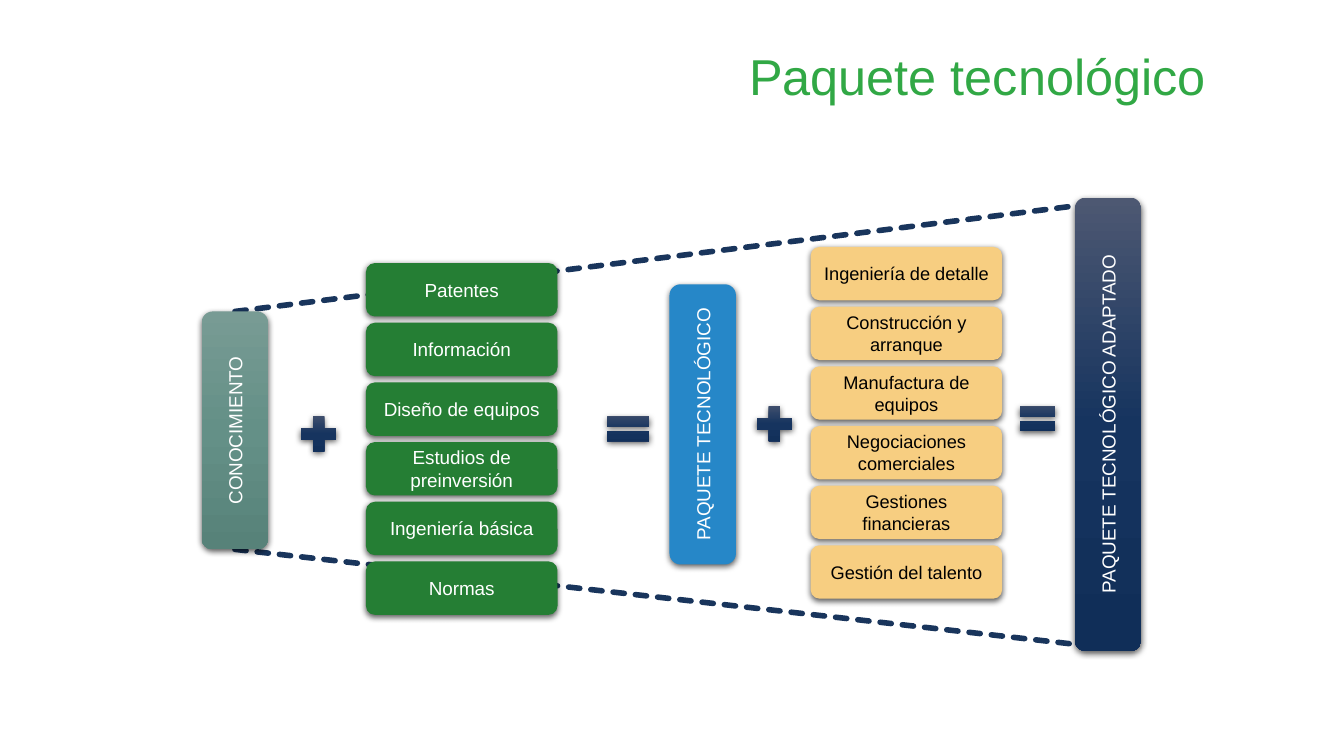
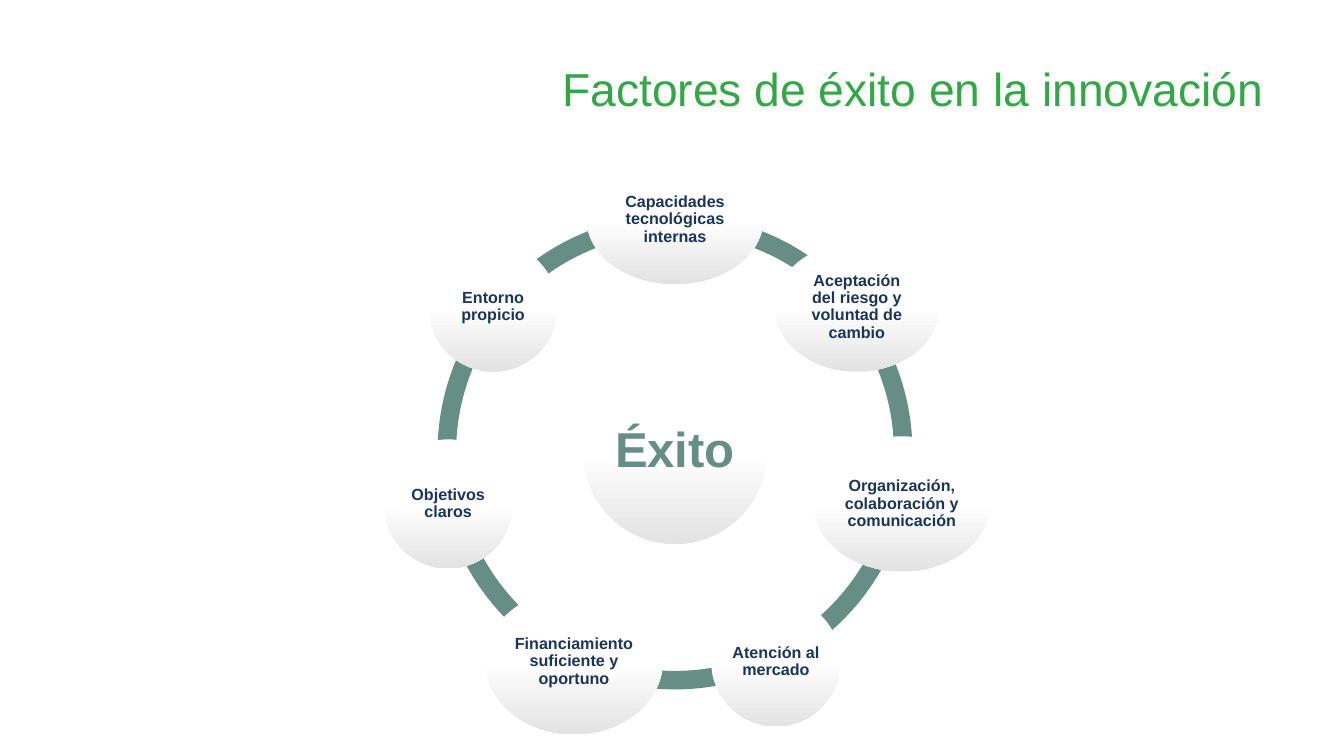
import math

import pptx
import pptx.dml.color
import pptx.enum.dml
import pptx.enum.shapes
import pptx.enum.text
import pptx.oxml.ns
import pptx.util
from lxml import etree

Inches = pptx.util.Inches
Pt = pptx.util.Pt
qn = pptx.oxml.ns.qn
SHAPE = pptx.enum.shapes.MSO_SHAPE
ALIGN = pptx.enum.text.PP_ALIGN

FONT = "Arial"
COLORS = {
    "title": "31A845",
    "navy": "19355C",
    "teal": "668E86",
    "green": "257E34",
    "blue": "2687C8",
    "sand": "F7CE81",
    "white": "FFFFFF",
    "black": "000000",
}
GRADIENTS = {
    "teal_shade": ("789B94", "649087", "578279"),
    "navy_shade": ("4D5872", "16345F", "102E58"),
    "pearl": ("FFFFFF", "FFFFFF", "E3E3E3"),
}


def rgb(name):
    return pptx.dml.color.RGBColor.from_string(COLORS[name])


def add_color(parent, value):
    return etree.SubElement(parent, qn("a:srgbClr"), val=value)


def set_fill(shape, name):
    """Fill with a plain colour or a top-to-bottom gradient of that name."""
    if name in COLORS:
        shape.fill.solid()
        shape.fill.fore_color.rgb = rgb(name)
        return
    shape.fill.gradient()
    shape.fill.gradient_angle = 270
    stops = shape.element.find(".//" + qn("a:gsLst"))
    for stop in list(stops):
        stops.remove(stop)
    for position, value in zip((0, 50000, 100000), GRADIENTS[name]):
        add_color(etree.SubElement(stops, qn("a:gs"), pos=str(position)), value)


def add_shadow(shape):
    effects = shape.element.spPr.find(qn("a:effectLst"))
    shadow = etree.SubElement(
        effects, qn("a:outerShdw"), blurRad=str(Pt(4.5)), dist=str(Pt(1.5)),
        dir="5400000", algn="ctr", rotWithShape="0")
    etree.SubElement(add_color(shadow, COLORS["black"]), qn("a:alpha"), val="63000")


def add_figure(page, kind, box, fill, shadow=False):
    shape = page.shapes.add_shape(kind, *map(Inches, box))
    set_fill(shape, fill)
    shape.line.fill.background()
    shape.shadow.inherit = False
    if shadow:
        add_shadow(shape)
    return shape


def write(shape, text, size, color, bold=False, align=ALIGN.CENTER,
          spacing=None, inset=0.1, upward=False):
    frame = shape.text_frame
    frame.word_wrap = True
    frame.vertical_anchor = pptx.enum.text.MSO_ANCHOR.MIDDLE
    frame.margin_left = frame.margin_right = Inches(inset)
    frame.margin_top = frame.margin_bottom = Inches(min(inset, 0.05))
    if upward:
        shape.element.find(".//" + qn("a:bodyPr")).set("vert", "vert270")
    para = frame.paragraphs[0]
    para.alignment = align
    if spacing:
        para.line_spacing = spacing
    span = para.add_run()
    span.text = text
    span.font.name = FONT
    span.font.size = Pt(size)
    span.font.bold = bold
    span.font.color.rgb = rgb(color)


def add_title(page, text, box, size):
    title = page.shapes.add_textbox(*map(Inches, box))
    write(title, text, size, "title", align=ALIGN.RIGHT, spacing=0.9)


def add_dashed_line(page, start, end):
    line = page.shapes.add_connector(
        pptx.enum.shapes.MSO_CONNECTOR.STRAIGHT, *map(Inches, start + end))
    line.line.color.rgb = rgb("navy")
    line.line.width = Pt(4)
    line.line.dash_style = pptx.enum.dml.MSO_LINE.SQUARE_DOT
    line.element.find(".//" + qn("a:ln")).set("cap", "rnd")
    etree.SubElement(line.element.spPr, qn("a:effectLst"))
    return line


def add_bar(page, text, box, fill):
    """Upright bar with its text reading from bottom to top."""
    bar = add_figure(page, SHAPE.ROUNDED_RECTANGLE, box, fill, shadow=True)
    write(bar, text, 13.5, "white", upward=True)
    return bar


def add_stack(page, left, top, labels, fill, size, color):
    width, height, pitch = 1.9, 0.53, 0.592
    for row, label in enumerate(labels):
        box = (left, top + row * pitch, width, height)
        card = add_figure(page, SHAPE.ROUNDED_RECTANGLE, box, fill, shadow=True)
        write(card, label, size, color, inset=0.08)


def build_package_slide(page):
    add_title(page, "Paquete tecnológico", (3.16, 0.45, 8.9, 0.68), 36)
    # The lines lie behind the bars and end inside the tall one.
    upper = add_dashed_line(page, (2.33, 3.09), (11, 2))
    lower = add_dashed_line(page, (2.33, 5.45), (11, 6.43))
    knowledge = add_bar(page, "CONOCIMIENTO", (2, 3.09, 0.66, 2.36), "teal_shade")
    upper.begin_connect(knowledge, 0)
    lower.begin_connect(knowledge, 2)
    add_bar(page, "PAQUETE TECNOLÓGICO", (6.64, 2.82, 0.66, 2.78), "blue")
    add_bar(page, "PAQUETE TECNOLÓGICO ADAPTADO", (10.66, 1.96, 0.66, 4.5), "navy_shade")

    add_stack(page, 3.63, 2.61, (
        "Patentes", "Información", "Diseño de equipos", "Estudios de preinversión",
        "Ingeniería básica", "Normas"), "green", 13.5, "white")
    add_stack(page, 8.04, 2.45, (
        "Ingeniería de detalle", "Construcción y arranque", "Manufactura de equipos",
        "Negociaciones comerciales", "Gestiones financieras", "Gestión del talento"),
        "sand", 13, "black")

    for kind, box in (
        (SHAPE.MATH_PLUS, (2.92, 4.07, 0.48, 0.47)),
        (SHAPE.MATH_EQUAL, (5.95, 4.05, 0.56, 0.41)),
        (SHAPE.MATH_PLUS, (7.44, 3.97, 0.48, 0.47)),
        (SHAPE.MATH_EQUAL, (10.05, 3.95, 0.48, 0.41)),
    ):
        add_figure(page, kind, box, "navy_shade", shadow=True)


def add_bubble(page, text, center, width, height, size, color):
    box = (center[0] - width / 2, center[1] - height / 2, width, height)
    bubble = add_figure(page, SHAPE.OVAL, box, "pearl")
    write(bubble, text, size, color, bold=True, spacing=0.9, inset=0.02)


def add_factor_ring(page, left, top, diameter, core, factors):
    """Ring of arcs with a core bubble and factor bubbles, clockwise from the top."""
    step = 360 / len(factors)
    angles = [(270 + index * step) % 360 for index in range(len(factors))]
    for angle in angles:
        arc = add_figure(page, SHAPE.BLOCK_ARC, (left, top, diameter, diameter), "teal")
        # Angles are stored in 60000ths of a degree, adjustments in 100000ths.
        arc.adjustments[0] = angle * 0.6
        arc.adjustments[1] = (angle + step) % 360 * 0.6
        arc.adjustments[2] = 0.039

    x, y = left + diameter / 2, top + diameter / 2
    add_bubble(page, core, (x, y), 1.82, 1.82, 35, "teal")
    orbit = 0.49 * diameter
    for angle, (text, width, height) in zip(angles, factors):
        turn = math.radians(angle)
        center = (x + orbit * math.cos(turn), y + orbit * math.sin(turn))
        add_bubble(page, text, center, width, height, 11.5, "navy")


def build_success_slide(page):
    add_title(page, "Factores de éxito en la innovación", (5.01, 0.61, 7.62, 0.6), 33)
    add_factor_ring(page, 4.34, 2.13, 4.71, "Éxito", (
        ("Capacidades tecnológicas internas", 1.75, 1.28),
        ("Aceptación del riesgo y voluntad de cambio", 1.63, 1.28),
        ("Organización, colaboración y comunicación", 1.75, 1.34),
        ("Atención al mercado", 1.28, 1.28),
        ("Financiamiento suficiente y oportuno", 1.76, 1.44),
        ("Objetivos claros", 1.28, 1.28),
        ("Entorno propicio", 1.28, 1.28),
    ))


def main():
    deck = pptx.Presentation()
    deck.slide_width, deck.slide_height = Inches(13.33), Inches(7.5)
    for build in (build_package_slide, build_success_slide):
        build(deck.slides.add_slide(deck.slide_layouts[6]))
    deck.save("out.pptx")


if __name__ == "__main__":
    main()
